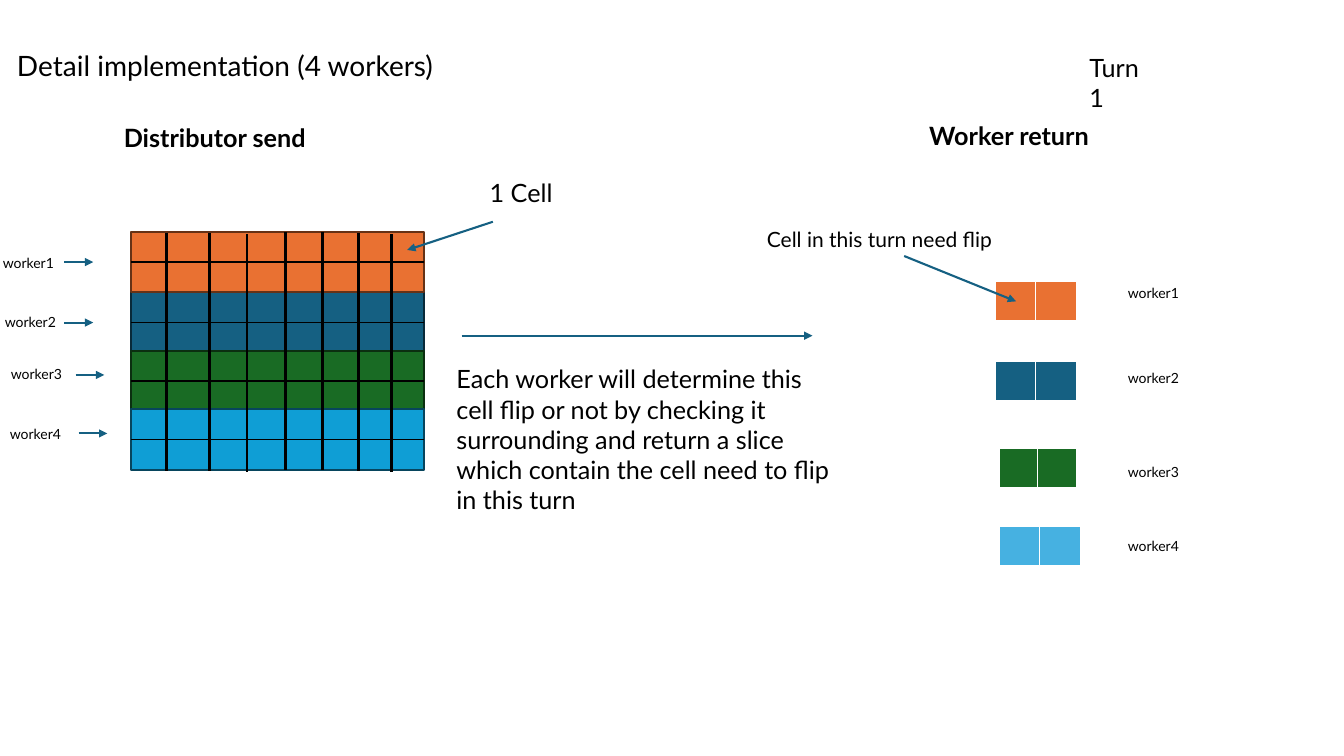
from lxml.etree import SubElement
from pptx import Presentation
from pptx.dml.color import RGBColor
from pptx.enum.shapes import MSO_CONNECTOR, MSO_SHAPE
from pptx.enum.text import MSO_ANCHOR
from pptx.oxml import parse_xml
from pptx.oxml.ns import nsdecls, qn
from pptx.util import Inches, Pt

CELL = 0.1  # inches per grid column and row
FONT = "Lato"
BLACK, WHITE, BLUE = "000000", "FFFFFF", "156082"

# Per worker: band top, fill, edge, send label, send arrow,
# return slice (left, top, width, fill), return label top
WORKERS = [
    (23, "E97132", "663216", (-0.7, 24.8), (6.4, 26), (98.7, 27.9, 8.1, "E97132"), 27.7),
    (29, BLUE, "092A39", (-0.5, 30.6), (6.4, 32), (98.7, 35.9, 8.1, BLUE), 36.2),
    (34.8, "196B24", "0B2F10", (0.1, 35.8), (7.5, 37.2), (99.1, 44.5, 7.7, "196B24"), 45.5),
    (40.6, "0F9ED5", "07455D", (0, 41.7), (7.8, 43), (99.1, 52.2, 8.1, "46B1E1"), 52.8),
]
# Column and top row of each upright rule in the board
RULES = [(16.5, 23.1), (20.8, 23.1), (24.5, 23.2), (28.3, 23),
         (32, 23), (35.6, 23.1), (38.8, 23.2)]


def grid(*cells):
    return [Inches(n * CELL) for n in cells]


def color(code):
    return RGBColor.from_string(code)


def text(slide, words, box, size=18, bold=False, wrap=True,
         anchor=MSO_ANCHOR.TOP, space=None):
    frame = slide.shapes.add_textbox(*grid(*box)).text_frame
    frame.word_wrap = wrap
    frame.vertical_anchor = anchor
    para = frame.paragraphs[0]
    para.line_spacing = space
    run = para.add_run()
    run.text = words
    font = run.font
    font.name, font.size, font.bold = FONT, Pt(size), bold
    font.color.rgb = color(BLACK)


def line(slide, start, end, code=BLACK, width=1.0, arrow=False):
    link = slide.shapes.add_connector(MSO_CONNECTOR.STRAIGHT, *grid(*start, *end))
    link.line.color.rgb = color(code)
    link.line.width = Pt(width)
    if arrow:
        SubElement(link.line._get_or_add_ln(), qn("a:tailEnd"), type="triangle")
    SubElement(link._element.spPr, qn("a:effectLst"))
    return link


def arrow(slide, start, end):
    line(slide, start, end, BLUE, 1.5, True)


def band(slide, top, fill, edge):
    box = slide.shapes.add_shape(MSO_SHAPE.RECTANGLE, *grid(13, top, 29.1, 6))
    box.shadow.inherit = False
    box.fill.solid()
    box.fill.fore_color.rgb = color(fill)
    box.line.color.rgb = color(edge)
    box.line.width = Pt(1.5)
    return box


def split(slide, box, top):
    """Draw the thin rule that halves a band."""
    link = line(slide, (13, top + 3), (42.1, top + 3))
    link.begin_connect(box, 1)
    link.end_connect(box, 3)


def border(cell):
    props = cell._tc.get_or_add_tcPr()
    for side, width in zip("LRTB", (1, 1, 1, 3)):
        props.append(parse_xml(
            f'<a:ln{side} {nsdecls("a")} w="{Pt(width)}"><a:solidFill>'
            f'<a:srgbClr val="{WHITE}"/></a:solidFill></a:ln{side}>'))


def strip(slide, left, top, wide, fill):
    """Draw the two-cell slice that a worker returns."""
    table = slide.shapes.add_table(1, 2, *grid(left, top, wide, 4)).table
    table.first_row = table.horz_banding = False
    for cell in table.iter_cells():
        cell.margin_top = cell.margin_bottom = 0
        border(cell)
        cell.fill.solid()
        cell.fill.fore_color.rgb = color(fill)


def board(slide):
    first, *rest = WORKERS
    bands = [(band(slide, *row[:3]), row[0]) for row in (*rest, first)]
    for box, top in bands:
        split(slide, box, top)
    for left, top in RULES:
        line(slide, (left, top), (left, top + 23.6), width=2)


def labels(slide):
    for num, row in enumerate(WORKERS, 1):
        name, spot, (left, top), piece, level = f"worker{num}", *row[3:]
        text(slide, name, (*spot, 7.4, 2.7), size=10)
        arrow(slide, (left, top), (left + 2.85, top))
        strip(slide, *piece)
        text(slide, name, (110.9, level, 7.4, 2.7), size=10)


def main():
    deck = Presentation()
    deck.slide_width, deck.slide_height = grid(133.33, 75)
    slide = deck.slides.add_slide(deck.slide_layouts[6])

    text(slide, "Detail implementation (4 workers)", (0.7, -0.6, 115, 14.5),
         size=20, anchor=MSO_ANCHOR.MIDDLE, space=0.9)
    text(slide, "Turn 1", (107.1, 4.7, 8.4, 4))
    text(slide, "Distributor send", (11.3, 11.6, 20.6, 4), bold=True, wrap=False)
    text(slide, "Worker return", (91.2, 11.4, 17.9, 4), bold=True, wrap=False)

    board(slide)
    labels(slide)

    text(slide, "1 Cell", (47.6, 17.1, 8.3, 4), wrap=False)
    arrow(slide, (48.9, 22), (40.4, 24.8))
    arrow(slide, (45.8, 33.3), (80.6, 33.3))
    text(slide, "Each worker will determine this cell flip or not by checking it "
         "surrounding and return a slice which contain the cell need to flip "
         "in this turn", (44.3, 35.6, 39.9, 16.2))
    text(slide, "Cell in this turn need flip", (75.1, 22, 27.6, 3.5), size=15)
    arrow(slide, (89.7, 25.4), (100.8, 29.9))

    deck.save("out.pptx")


if __name__ == "__main__":
    main()
